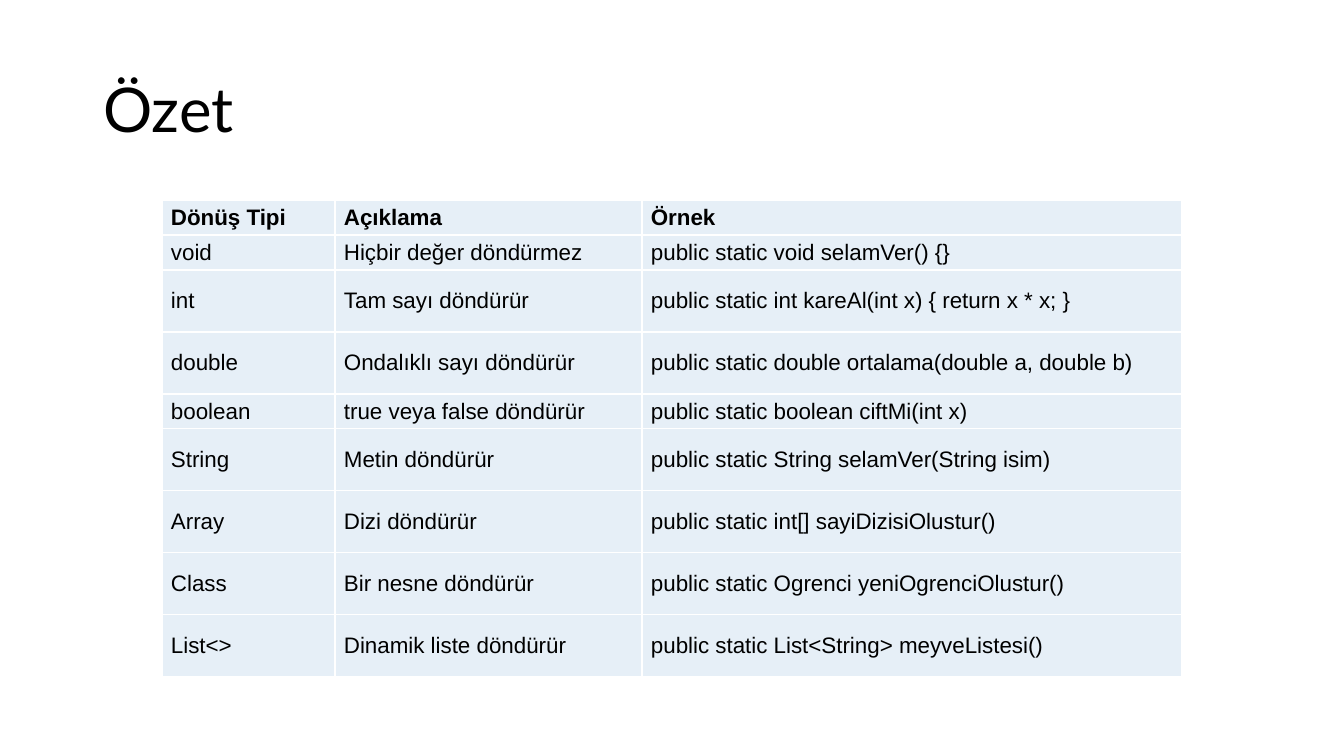
from lxml.etree import SubElement
from pptx import Presentation
from pptx.dml.color import RGBColor
from pptx.enum.text import MSO_ANCHOR, PP_ALIGN
from pptx.oxml.ns import qn
from pptx.util import Pt

TITLE = "Özet"
ROWS = [
    ("Dönüş Tipi", "Açıklama", "Örnek"),
    ("void", "Hiçbir değer döndürmez", "public static void selamVer() {}"),
    ("int", "Tam sayı döndürür", "public static int kareAl(int x) { return x * x; }"),
    ("double", "Ondalıklı sayı döndürür", "public static double ortalama(double a, double b)"),
    ("boolean", "true veya false döndürür", "public static boolean ciftMi(int x)"),
    ("String", "Metin döndürür", "public static String selamVer(String isim)"),
    ("Array", "Dizi döndürür", "public static int[] sayiDizisiOlustur()"),
    ("Class", "Bir nesne döndürür", "public static Ogrenci yeniOgrenciOlustur()"),
    ("List<>", "Dinamik liste döndürür", "public static List<String> meyveListesi()"),
]
COL_WIDTHS = (173, 307, 540)
SHORT, TALL = 35, 62
SHORT_ROWS = {"Dönüş Tipi", "void", "boolean"}
TABLE_LEFT, TABLE_TOP = 162, 200
COLORS = {"text": "000000", "cell": "E6EFF7", "border": "FFFFFF"}


def px(n):
    return round(n * 914400 / 100.8)


def format_text(p, font, size, bold=False):
    for r in p.runs:
        r.font.name = font
        r.font.size = Pt(size)
        r.font.bold = bold
        r.font.color.rgb = RGBColor.from_string(COLORS["text"])


def set_borders(cell):
    tc_pr = cell._tc.get_or_add_tcPr()
    for i, side in enumerate(("lnL", "lnR", "lnT", "lnB")):
        ln = tc_pr.makeelement(qn(f"a:{side}"), {"w": str(Pt(1))})
        fill = SubElement(ln, qn("a:solidFill"))
        SubElement(fill, qn("a:srgbClr"), val=COLORS["border"])
        tc_pr.insert(i, ln)


def add_title(s):
    sp = s.shapes.title
    sp.left, sp.top, sp.width, sp.height = map(px, (93, 40, 1159, 146))
    tf = sp.text_frame
    tf.text = TITLE
    tf.vertical_anchor = MSO_ANCHOR.MIDDLE
    p = tf.paragraphs[0]
    p.alignment = PP_ALIGN.LEFT
    p.line_spacing = 0.9
    format_text(p, "Lato", 44)


def add_summary(s):
    heights = [SHORT if row[0] in SHORT_ROWS else TALL for row in ROWS]
    frame = s.shapes.add_table(
        len(ROWS), len(COL_WIDTHS), px(TABLE_LEFT), px(TABLE_TOP),
        px(sum(COL_WIDTHS)), px(sum(heights)))
    table = frame.table
    table.horz_banding = False
    for col, width in zip(table.columns, COL_WIDTHS):
        col.width = px(width)
    for i, (row, height) in enumerate(zip(ROWS, heights)):
        table.rows[i].height = px(height)
        for j, text in enumerate(row):
            cell = table.cell(i, j)
            cell.text = text
            cell.vertical_anchor = MSO_ANCHOR.MIDDLE
            cell.margin_left = cell.margin_right = px(9)
            cell.margin_top = cell.margin_bottom = px(4)
            cell.fill.solid()
            cell.fill.fore_color.rgb = RGBColor.from_string(COLORS["cell"])
            set_borders(cell)
            format_text(cell.text_frame.paragraphs[0], "Arial", 16, i == 0)


def main():
    prs = Presentation()
    prs.slide_width, prs.slide_height = px(1344), px(756)
    s = prs.slides.add_slide(prs.slide_layouts[5])
    add_title(s)
    add_summary(s)
    prs.save("out.pptx")


if __name__ == "__main__":
    main()
